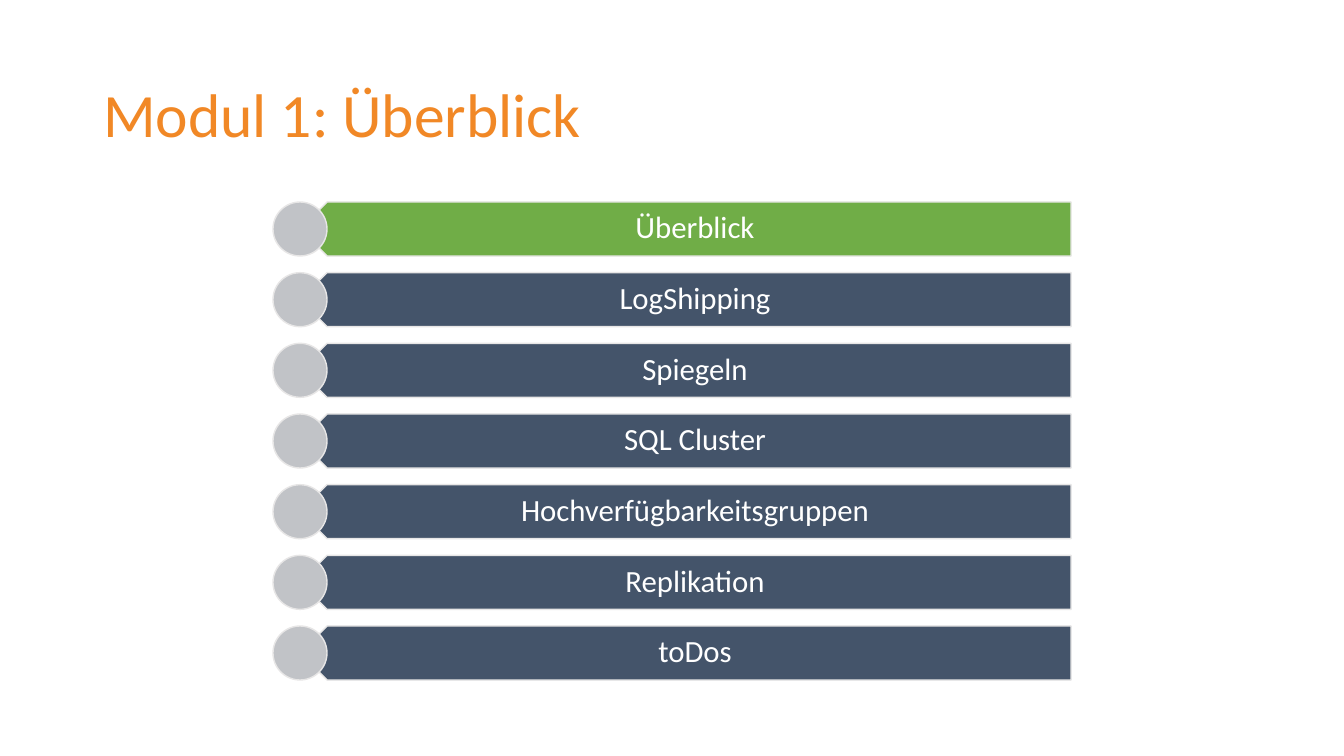
from pptx import Presentation
from pptx.dml.color import RGBColor
from pptx.enum.shapes import MSO_SHAPE as Shape
from pptx.enum.text import MSO_ANCHOR as Anchor, PP_ALIGN as Align
from pptx.util import Pt

TITLE = "Modul 1: Überblick"
TOPICS = ["Überblick", "LogShipping", "Spiegeln", "SQL Cluster",
          "Hochverfügbarkeitsgruppen", "Replikation", "toDos"]
ACTIVE = 0

FONT = "Calibri"
ORANGE = RGBColor(0xF1, 0x88, 0x26)
GREEN = RGBColor(0x70, 0xAD, 0x47)
SLATE = RGBColor(0x44, 0x54, 0x6A)
GREY = RGBColor(0xC1, 0xC3, 0xC7)
EDGE = RGBColor(0xE7, 0xE6, 0xE6)
WHITE = RGBColor(0xFF, 0xFF, 0xFF)

WIDE, HIGH = 1344, 756
SCALE = 12192000 / WIDE
FIRST, LAST = 202, 626  # tops of the first and last row
ROW = 54
DOT_X = 273
BAR_X, BAR_W = 300, 771
TEXT_X, TEXT_W = 313, 757
INSETS = 24, 9, 17, 9


def emu(*sizes):
    return [round(size * SCALE) for size in sizes]


def write(frame, text, size, color, align):
    frame.word_wrap = True
    frame.vertical_anchor = Anchor.MIDDLE
    para = frame.paragraphs[0]
    para.alignment = align
    para.line_spacing = 0.9
    run = para.add_run()
    run.text = text
    run.font.name = FONT
    run.font.size = Pt(size)
    run.font.color.rgb = color


def draw(group, kind, box, fill):
    shape = group.shapes.add_shape(kind, *emu(*box))
    shape.shadow.inherit = False
    shape.fill.solid()
    shape.fill.fore_color.rgb = fill
    shape.line.color.rgb = EDGE
    shape.line.width = Pt(1)
    return shape


def label(group, box, text):
    frame = group.shapes.add_textbox(*emu(*box)).text_frame
    (frame.margin_left, frame.margin_top,
     frame.margin_right, frame.margin_bottom) = emu(*INSETS)
    write(frame, text, 22, WHITE, Align.CENTER)


def main():
    deck = Presentation()
    deck.slide_width, deck.slide_height = emu(WIDE, HIGH)
    slide = deck.slides.add_slide(deck.slide_layouts[5])

    title = slide.shapes.title
    title.left, title.top, title.width, title.height = emu(93, 50, 1159, 136)
    write(title.text_frame, TITLE, 44, ORANGE, Align.LEFT)

    group = slide.shapes.add_group_shape()
    pitch = (LAST - FIRST) / (len(TOPICS) - 1)
    for i, topic in enumerate(TOPICS):
        top = FIRST + i * pitch
        fill = GREEN if i == ACTIVE else SLATE
        bar = draw(group, Shape.PENTAGON, (BAR_X, top, BAR_W, ROW), fill)
        bar.rotation = 180
        label(group, (TEXT_X, top, TEXT_W, ROW), topic)
        draw(group, Shape.OVAL, (DOT_X, top, ROW, ROW), GREY)

    deck.save("out.pptx")


if __name__ == "__main__":
    main()
